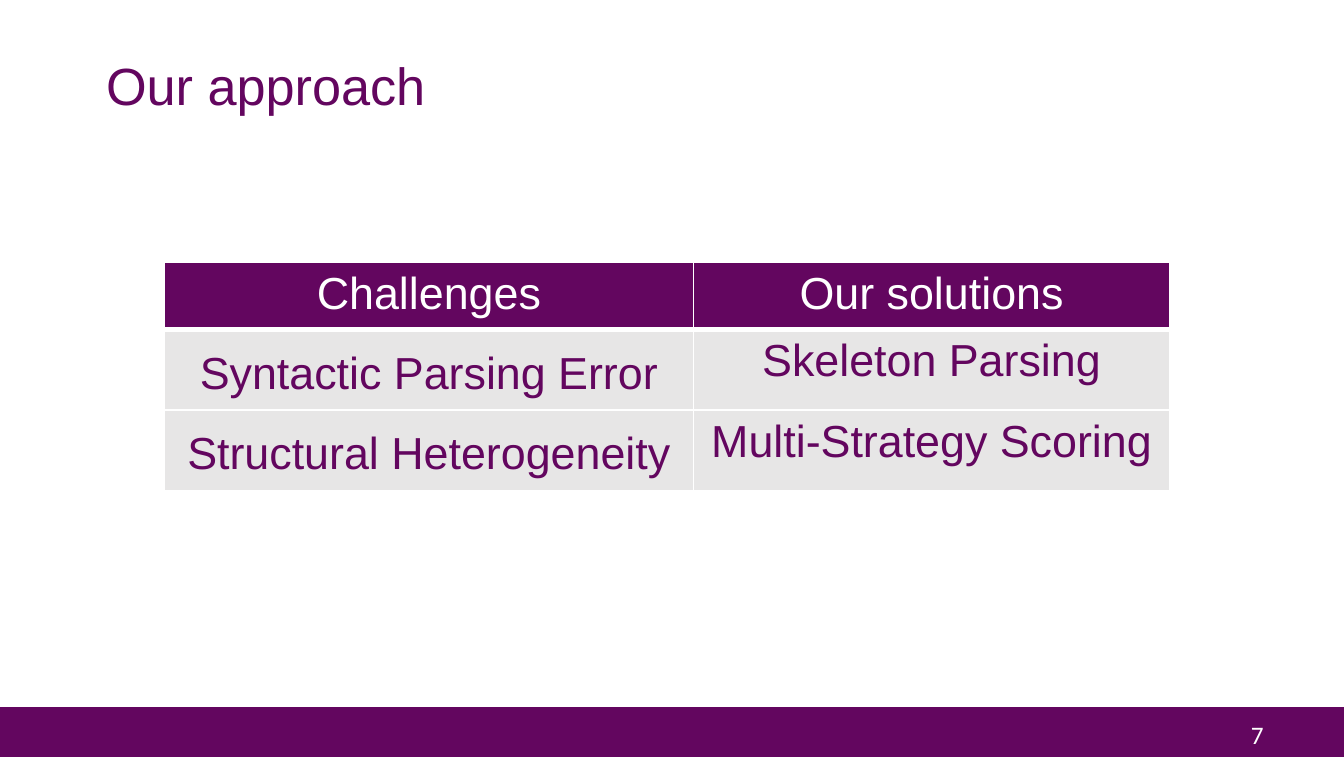
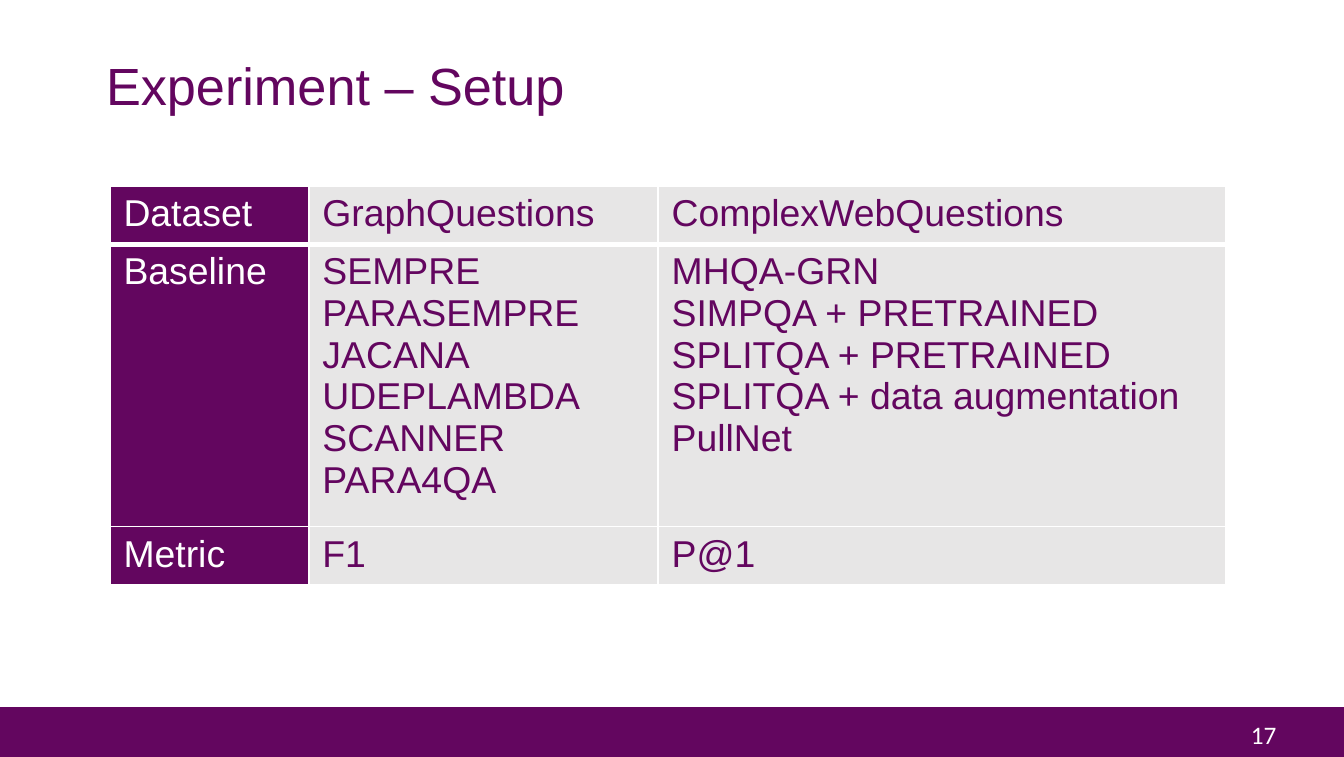
import dataclasses

import pptx
import pptx.dml.color
import pptx.enum.shapes
import pptx.enum.text
import pptx.util
from lxml import etree
from pptx.oxml.ns import qn
from pptx.util import Cm

ALIGN = pptx.enum.text.PP_ALIGN
ANCHOR = pptx.enum.text.MSO_ANCHOR


@dataclasses.dataclass(frozen=True)
class Theme:
    """Colours, fonts and type sizes of the presentation."""
    purple: str = "63065F"
    grey: str = "E7E6E6"
    white: str = "FFFFFF"
    text_font: str = "Arial"
    number_font: str = "Calibri"
    title_size: float = 28
    number_size: float = 13.5
    rule_width: float = 1
    header_rule_width: float = 3


theme = Theme()


def write(paragraph, text, size, color, font=theme.text_font):
    """Add one formatted run to a paragraph."""
    run = paragraph.add_run()
    run.text = text
    run.font.size = pptx.util.Pt(size)
    run.font.name = font
    run.font.color.rgb = pptx.dml.color.RGBColor.from_string(color)


def add_rule(cell, side, width):
    """Draw a white border on one side (L, R, T or B) of a table cell."""
    line = etree.SubElement(cell._tc.get_or_add_tcPr(), qn(f"a:ln{side}"),
                            w=str(pptx.util.Pt(width)))
    fill = etree.SubElement(line, qn("a:solidFill"))
    etree.SubElement(fill, qn("a:srgbClr"), val=theme.white)


# Lengths are in centimetres. Row heights are minimums: rows grow with their text.
# A cell holds one or more lines, separated by "\n".
pages = [
    dict(
        number="7", title="Our approach",
        left=3.1, top=4.95, height=4.32,
        columns=[10.01, 8.99], row_heights=[0.48, 0.53, 0.53],
        size=24, align=ALIGN.CENTER, first_column_spacing=1.25,
        is_heading=lambda row, column: row == 0,
        rows=[
            ["Challenges", "Our solutions"],
            ["Syntactic Parsing Error", "Skeleton Parsing"],
            ["Structural Heterogeneity", "Multi-Strategy Scoring"],
        ],
    ),
    dict(
        number="17", title="Experiment – Setup",
        left=2.08, top=3.51, height=7.54,
        columns=[3.76, 6.6, 10.72], row_heights=[0.81, 4.11, 0.81],
        size=20, align=ALIGN.LEFT, first_column_spacing=None,
        is_heading=lambda row, column: column == 0,
        rows=[
            ["Dataset", "GraphQuestions", "ComplexWebQuestions"],
            ["Baseline",
             "SEMPRE\nPARASEMPRE\nJACANA\nUDEPLAMBDA\nSCANNER\nPARA4QA",
             "MHQA-GRN\nSIMPQA + PRETRAINED\nSPLITQA + PRETRAINED\n"
             "SPLITQA + data augmentation\nPullNet"],
            ["Metric", "F1", "P@1"],
        ],
    ),
]

presentation = pptx.Presentation()
presentation.slide_width = Cm(25.4)
presentation.slide_height = Cm(14.3)

# Title position, shared by every slide through the layout
title_only = presentation.slide_layouts[5]
layout_title = title_only.placeholders[0]
layout_title.left, layout_title.top = Cm(1.75), Cm(0.99)
layout_title.width, layout_title.height = Cm(21.9), Cm(1.37)
layout_title.text_frame.vertical_anchor = ANCHOR.MIDDLE

for page in pages:
    slide = presentation.slides.add_slide(title_only)

    # Footer band and page number
    band = slide.shapes.add_shape(pptx.enum.shapes.MSO_SHAPE.RECTANGLE,
                                  0, Cm(13.36), Cm(25.4), Cm(0.94))
    band.shadow.inherit = False
    band.fill.solid()
    band.fill.fore_color.rgb = pptx.dml.color.RGBColor.from_string(theme.purple)
    band.line.fill.background()
    page_number = slide.shapes.add_textbox(Cm(23.39), Cm(13.47), Cm(1.09), Cm(0.84))
    page_number.text_frame.word_wrap = False
    write(page_number.text_frame.paragraphs[0], page["number"],
          theme.number_size, theme.white, theme.number_font)

    # Title
    heading = slide.shapes.title.text_frame.paragraphs[0]
    heading.alignment = ALIGN.LEFT
    heading.line_spacing = 0.9
    write(heading, page["title"], theme.title_size, theme.purple)

    # Table
    overview = slide.shapes.add_table(
        len(page["rows"]), len(page["columns"]), Cm(page["left"]), Cm(page["top"]),
        Cm(sum(page["columns"])), Cm(page["height"]))
    grid = overview.table
    for column, width in zip(grid.columns, page["columns"]):
        column.width = Cm(width)
    for row, height in zip(grid.rows, page["row_heights"]):
        row.height = Cm(height)
    overview.height = Cm(page["height"])

    for r, texts in enumerate(page["rows"]):
        for c, text in enumerate(texts):
            cell = grid.cell(r, c)
            for side in "LRTB":
                below_header = (r, side) in [(0, "B"), (1, "T")]
                add_rule(cell, side,
                         theme.header_rule_width if below_header else theme.rule_width)

            is_heading = page["is_heading"](r, c)
            cell.fill.solid()
            cell.fill.fore_color.rgb = pptx.dml.color.RGBColor.from_string(
                theme.purple if is_heading else theme.grey)

            for i, entry in enumerate(text.split("\n")):
                frame = cell.text_frame
                paragraph = frame.add_paragraph() if i else frame.paragraphs[0]
                paragraph.alignment = page["align"]
                if c == 0 and not is_heading:
                    paragraph.line_spacing = page["first_column_spacing"]
                write(paragraph, entry, page["size"],
                      theme.white if is_heading else theme.purple)

presentation.save("out.pptx")
